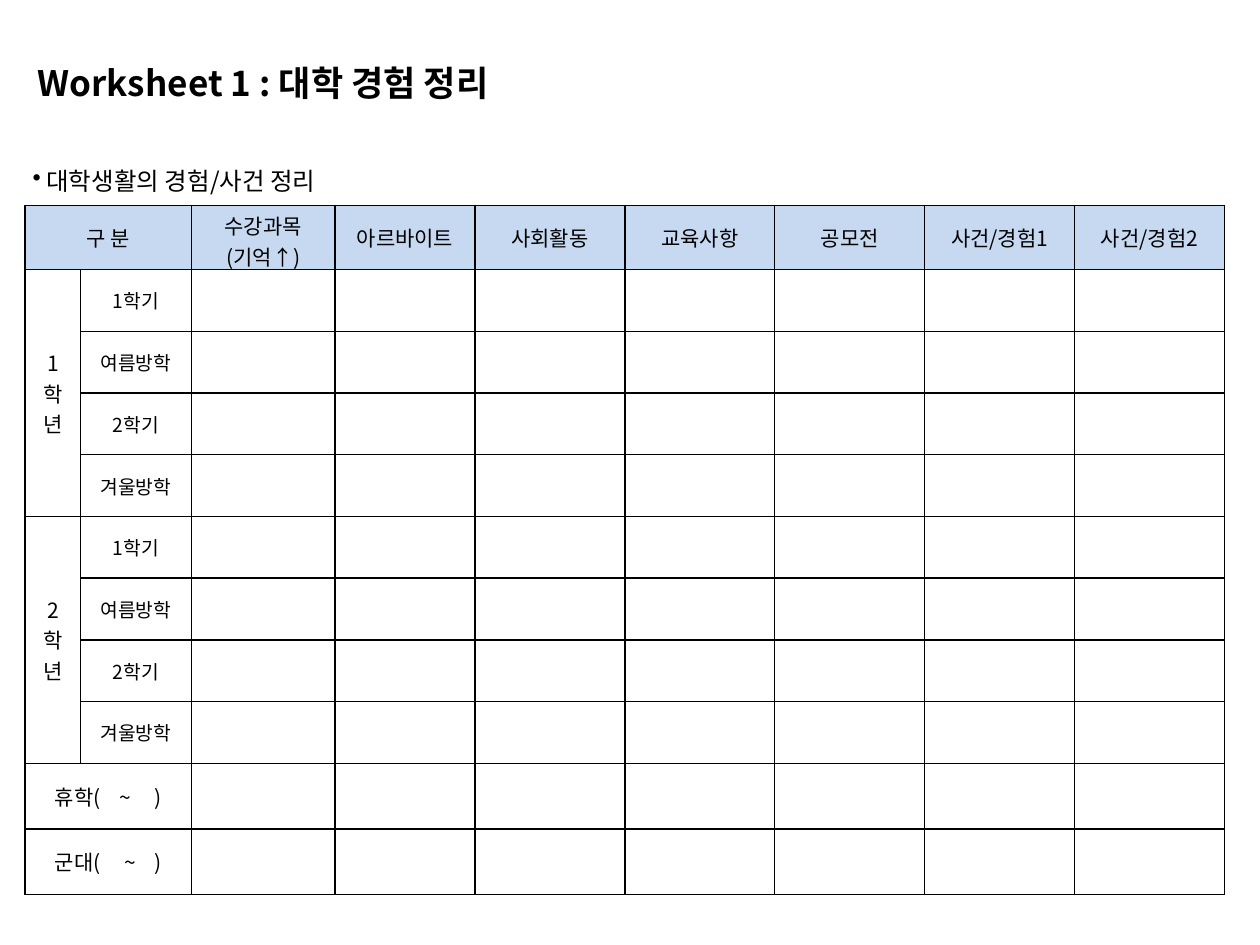
from lxml import etree
from pptx import Presentation
from pptx import util as u
from pptx.dml.color import RGBColor
from pptx.enum import text
from pptx.oxml import ns

FONT = "Noto Sans CJK KR"
BLACK, HEADER_BLUE = "000000", "C6D9F1"
HEADINGS = ["수강과목\n(기억↑)", "아르바이트", "사회활동", "교육사항", "공모전",
            "사건/경험1", "사건/경험2"]
YEARS = ["1\n학\n년", "2\n학\n년"]
TERMS = ["1학기", "여름방학", "2학기", "겨울방학"]
BREAKS = ["휴학(    ~     )", "군대(     ~    )"]
COLUMN_WIDTHS = [0.44, 0.88, 1.14, 1.11] + [1.19] * 5
ROW_HEIGHTS = [0.51] + [0.49] * 8 + [0.52] * 2


def color(hex_value):
    return RGBColor.from_string(hex_value)


def write(frame, words, size=12, bold=False, align=text.PP_ALIGN.LEFT):
    """Fill a text frame, one paragraph for each line."""
    frame.text = words
    for paragraph in frame.paragraphs:
        paragraph.alignment = align
        for run in paragraph.runs:
            run.font.size = u.Pt(size)
            run.font.bold = bold
            run.font.name = FONT
            run.font.color.rgb = color(BLACK)
            east_asian = etree.SubElement(run.font._element, ns.qn("a:ea"))
            east_asian.set("typeface", FONT)


def add_line(slide, box, words, **style):
    """One line of text in a box; returns its paragraph."""
    frame = slide.shapes.add_textbox(*map(u.Inches, box)).text_frame
    frame.word_wrap = True
    write(frame, words, **style)
    return frame.paragraphs[0]


def add_bullet(paragraph, indent):
    properties = paragraph._p.get_or_add_pPr()
    properties.set("marL", str(u.Inches(indent)))
    properties.set("indent", str(-u.Inches(indent)))
    etree.SubElement(properties, ns.qn("a:buChar")).set("char", "•")


def style_cell(cell, fill=None):
    """Thin black borders, even insets, centred text and an optional fill."""
    cell.margin_left = cell.margin_right = u.Inches(0.04)
    cell.margin_top = cell.margin_bottom = u.Inches(0.04)
    cell.vertical_anchor = text.MSO_ANCHOR.MIDDLE
    properties = cell._tc.get_or_add_tcPr()
    for side in ("a:lnL", "a:lnR", "a:lnT", "a:lnB"):
        border = etree.SubElement(properties, ns.qn(side), w=str(u.Pt(1)))
        paint = etree.SubElement(border, ns.qn("a:solidFill"))
        etree.SubElement(paint, ns.qn("a:srgbClr"), val=BLACK)
    if fill:
        cell.fill.solid()
        cell.fill.fore_color.rgb = color(fill)
    else:
        cell.fill.background()


def add_experience_table(slide, box):
    table = slide.shapes.add_table(
        len(ROW_HEIGHTS), len(COLUMN_WIDTHS), *map(u.Inches, box)).table
    for column, width in zip(table.columns, COLUMN_WIDTHS):
        column.width = u.Inches(width)
    for index, height in enumerate(ROW_HEIGHTS):
        table.rows[index].height = u.Inches(height)
        for cell in table.rows[index].cells:
            style_cell(cell, HEADER_BLUE if index == 0 else None)

    def label(row, column, words, size=12, last_row=None, last_column=None):
        cell = table.cell(row, column)
        if last_row or last_column:
            cell.merge(table.cell(last_row or row, last_column or column))
        write(cell.text_frame, words, size=size, align=text.PP_ALIGN.CENTER)

    # Header row
    label(0, 0, "구 분", last_column=1)
    for column, heading in enumerate(HEADINGS, start=2):
        label(0, column, heading)

    # School years, each with its terms
    for year_index, year in enumerate(YEARS):
        first = 1 + year_index * len(TERMS)
        label(first, 0, year, last_row=first + len(TERMS) - 1)
        for row, term in enumerate(TERMS, start=first):
            label(row, 1, term, size=11)

    # Leave of absence and military service
    for row, period in enumerate(BREAKS, start=1 + len(YEARS) * len(TERMS)):
        label(row, 0, period, last_column=1)


def main():
    deck = Presentation()
    deck.slide_width, deck.slide_height = u.Inches(10), u.Inches(7.5)
    slide = deck.slides.add_slide(deck.slide_layouts[6])
    add_line(slide, (0.2, 0.44, 6.93, 0.44), "Worksheet 1 : 대학 경험 정리",
             size=20, bold=True)
    add_experience_table(slide, (0.2, 1.63, 9.54, 5.51))
    subtitle = add_line(slide, (0.16, 1.27, 9.45, 0.34),
                        "대학생활의 경험/사건 정리", size=14)
    add_bullet(subtitle, 0.11)
    deck.save("out.pptx")


if __name__ == "__main__":
    main()
